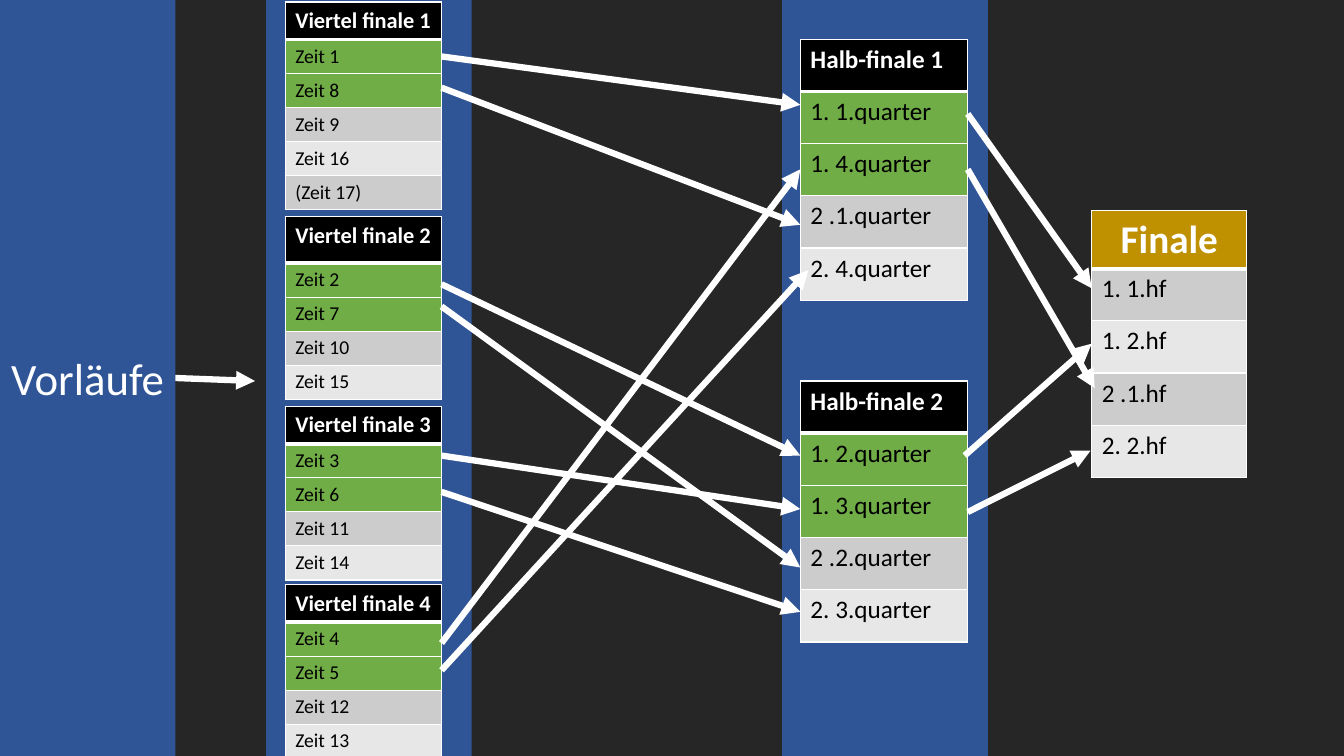
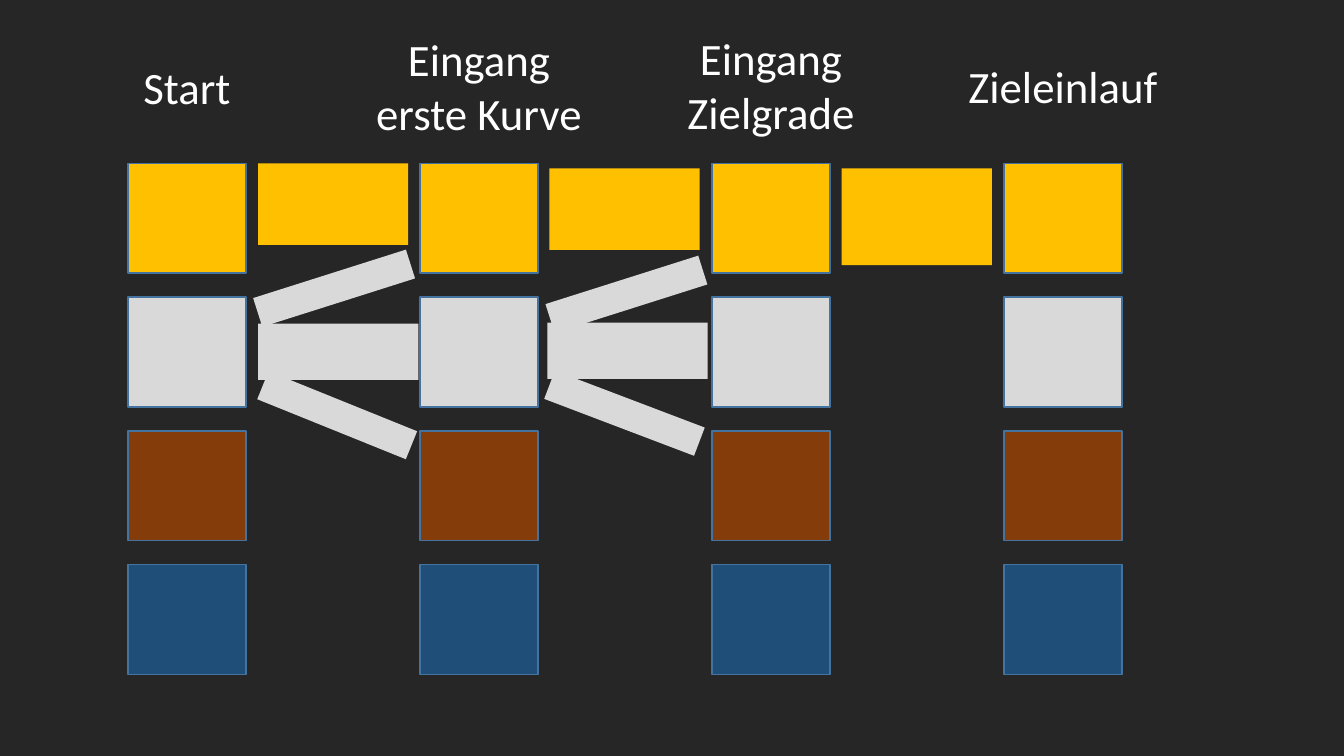
from lxml import etree
from pptx import Presentation, util as u
from pptx.dml.color import RGBColor
from pptx.enum import shapes, text
from pptx.oxml.ns import qn

# Grid: ten columns and ten rows to the inch
COLUMNS, ROWS = 133.33, 75
STEP = u.Inches(0.1)

# Shared style
FONT = "Calibri"
WHITE, BLACK, DARK = "FFFFFF", "000000", "262626"
BLUE, GREEN, OCHRE = "2F5597", "70AD47", "BF9000"
BANDS = ("CCCCCC", "E7E7E7")
GOLD, SILVER, BRONZE, NAVY = "FFC000", "D9D9D9", "843C0B", "1F4E79"
TILE_EDGE = "43739E"


def grid(count):
    return u.Emu(round(count * STEP))


def colour(value):
    return RGBColor.from_string(value)


def write(frame, content, size=18, fill=WHITE, bold=False, centred=False):
    para = frame.paragraphs[0]
    para.alignment = text.PP_ALIGN.CENTER if centred else text.PP_ALIGN.LEFT
    span = para.add_run()
    span.text = content
    span.font.name = FONT
    span.font.size = u.Pt(size)
    span.font.bold = bold
    span.font.color.rgb = colour(fill)


def border_cell(cell, top=1, bottom=1):
    """Draw white cell borders; widths are in points."""
    properties = cell._tc.get_or_add_tcPr()
    sides = (("a:lnL", 1), ("a:lnR", 1), ("a:lnT", top), ("a:lnB", bottom))
    for position, (tag, width) in enumerate(sides):
        line = etree.Element(qn(tag), w=str(u.Pt(width)))
        fill = etree.SubElement(line, qn("a:solidFill"))
        etree.SubElement(fill, qn("a:srgbClr"), val=WHITE)
        properties.insert(position, line)


class Slides:
    def __init__(self):
        self.deck = Presentation()
        self.deck.slide_width = grid(COLUMNS)
        self.deck.slide_height = grid(ROWS)
        self.page = None

    def new_page(self):
        self.page = self.deck.slides.add_slide(self.deck.slide_layouts[6])
        background = self.page.background.fill
        background.solid()
        background.fore_color.rgb = colour(DARK)

    def box(self, left, top, width, height, fill, edge=None, turn=0):
        box = self.page.shapes.add_shape(
            shapes.MSO_SHAPE.RECTANGLE, *map(grid, (left, top, width, height)))
        box.shadow.inherit = False
        box.rotation = turn
        box.fill.solid()
        box.fill.fore_color.rgb = colour(fill)
        if edge:
            box.line.color.rgb = colour(edge)
            box.line.width = u.Pt(1)
        else:
            box.line.fill.background()
        return box

    def label(self, content, left, top, width, height):
        box = self.page.shapes.add_textbox(
            *map(grid, (left, top, width, height)))
        box.text_frame.word_wrap = True
        box.text_frame.auto_size = text.MSO_AUTO_SIZE.SHAPE_TO_FIT_TEXT
        write(box.text_frame, content, size=32, centred=True)

    def arrow(self, start, end, source=None):
        line = self.page.shapes.add_connector(
            shapes.MSO_CONNECTOR.STRAIGHT, *map(grid, (*start, *end)))
        if source is not None:
            line.begin_connect(source, 3)
        line.line.color.rgb = colour(WHITE)
        line.line.width = u.Pt(4.5)
        etree.SubElement(line.line._get_or_add_ln(), qn("a:tailEnd"),
                         type="triangle")
        etree.SubElement(line._element.spPr, qn("a:effectLst"))

    def heat(self, title, entries, left, top, width, header, row, size,
             title_size, title_fill=BLACK, qualifiers=2, centred=False):
        """A titled list whose first entries qualify for the next round."""
        height = header + row * len(entries)
        table = self.page.shapes.add_table(
            len(entries) + 1, 1,
            *map(grid, (left, top, width, height))).table
        for index, content in enumerate((title, *entries)):
            is_title = index == 0
            table.rows[index].height = grid(header if is_title else row)
            cell = table.cell(index, 0)
            if is_title:
                fill = title_fill
            elif index <= qualifiers:
                fill = GREEN
            else:
                fill = BANDS[(index + 1) % 2]
            cell.fill.solid()
            cell.fill.fore_color.rgb = colour(fill)
            border_cell(cell, top=3 if index == 1 else 1,
                        bottom=3 if is_title else 1)
            write(cell.text_frame, content,
                  size=title_size if is_title else size,
                  fill=WHITE if is_title else BLACK,
                  bold=is_title, centred=centred and is_title)

    def save(self):
        self.deck.save("out.pptx")


def build_bracket(slides):
    slides.new_page()

    # Stage bands
    heats = slides.box(0, 0, 17.4, ROWS, BLUE)
    write(heats.text_frame, "Vorläufe", size=32, centred=True)
    heats.text_frame.vertical_anchor = text.MSO_ANCHOR.MIDDLE
    for left in (26.4, 77.6):
        slides.box(left, 0, 20.4, ROWS, BLUE)

    # Quarter-finals: top, header height, entries
    quarters = (
        (0.2, 3.7, ("Zeit 1", "Zeit 8", "Zeit 9", "Zeit 16", "(Zeit 17)")),
        (21.5, 4.6, ("Zeit 2", "Zeit 7", "Zeit 10", "Zeit 15")),
        (40.3, 3.7, ("Zeit 3", "Zeit 6", "Zeit 11", "Zeit 14")),
        (58, 3.7, ("Zeit 4", "Zeit 5", "Zeit 12", "Zeit 13")),
    )
    for number, (top, header, entries) in enumerate(quarters, 1):
        slides.heat(f"Viertel finale {number}", entries, 28.3, top, 15.5,
                    header, row=3.38, size=14, title_size=16)

    # Semi-finals and final
    semis = (
        (3.9, ("1. 1.quarter", "1. 4.quarter", "2 .1.quarter", "2. 4.quarter")),
        (37.8, ("1. 2.quarter", "1. 3.quarter", "2 .2.quarter", "2. 3.quarter")),
    )
    for number, (top, entries) in enumerate(semis, 1):
        slides.heat(f"Halb-finale {number}", entries, 79.4, top, 16.6,
                    header=5.18, row=5.18, size=18, title_size=18)
    slides.heat("Finale", ("1. 1.hf", "1. 2.hf", "2 .1.hf", "2. 2.hf"),
                108.3, 20.9, 15.4, header=5.7, row=5.18, size=18,
                title_size=28, title_fill=OCHRE, qualifiers=0, centred=True)

    # Paths between the rounds
    slides.arrow((17.4, 37.5), (25.3, 37.8), source=heats)
    to_semis = ((5.6, 79.4, 10.4), (63.8, 79.4, 16.8), (8.7, 79.4, 22.3),
                (66.5, 80.2, 26.8), (28.2, 79.4, 45.2), (45.2, 79.4, 50.5),
                (30.4, 79.4, 56.3), (48.8, 79.4, 60.7))
    for start, column, end in to_semis:
        slides.arrow((43.8, start), (column, end))
    to_final = (((96, 11.3), (108.3, 28.6)), ((95.7, 45.2), (108.3, 34.1)),
                ((96, 16.8), (108.6, 38.5)), ((96, 50.8), (108.2, 44.7)))
    for start, end in to_final:
        slides.arrow(start, end)


def build_track(slides):
    slides.new_page()
    left, top, across, down = 12.7, 16.2, 28.97, 13.27
    width, height = 11.7, 10.9

    # Teams by track position
    stations = (("Start", 5.4, 11.7, 6.4),
                ("Eingang erste Kurve", 2.7, 23.4, 11.8),
                ("Eingang Zielgrade", 2.6, 23.4, 11.8),
                ("Zieleinlauf", 5.3, 23.4, 6.4))
    for column, (name, label_top, label_width, label_height) in enumerate(stations):
        tile_left = left + column * across
        slides.label(name, tile_left + (width - label_width) / 2, label_top,
                     label_width, label_height)
        for row, fill in enumerate((GOLD, SILVER, BRONZE, NAVY)):
            slides.box(tile_left, top + row * down, width, height, fill,
                       edge=TILE_EDGE)

    # Leader's lane
    for link in ((25.6, 16.2, 14.9, 8.1), (54.5, 16.7, 14.9, 8.1),
                 (83.5, 16.7, 14.9, 9.6)):
        slides.box(*link, GOLD)

    # Choices of the second: left, top, thickness, turn
    for link_left, link_top, thickness, turn in (
            (25.2, 27.1, 3, 342.4), (25.5, 39.7, 3, 22), (25.6, 32.1, 5.6, 0),
            (54.2, 27.7, 3, 342.4), (54, 39.5, 3, 20.8), (54.3, 32, 5.6, 0)):
        slides.box(link_left, link_top, 15.9, thickness, SILVER, turn=turn)


def main():
    slides = Slides()
    build_bracket(slides)
    build_track(slides)
    slides.save()


if __name__ == "__main__":
    main()
